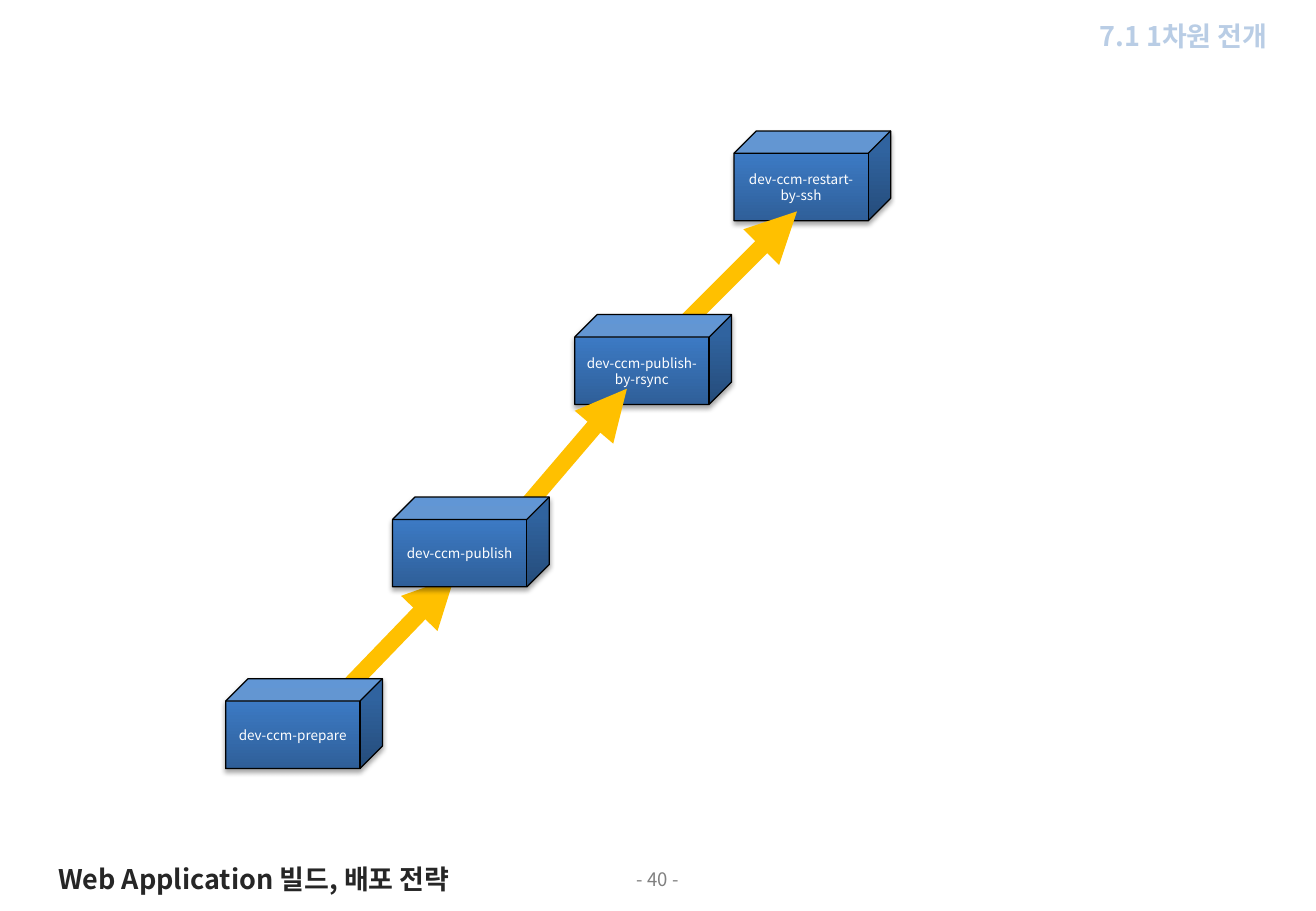
import copy

import pptx
import pptx.dml.color
import pptx.enum.shapes
import pptx.enum.text
import pptx.oxml
import pptx.util

Pt = pptx.util.Pt
RGB = pptx.dml.color.RGBColor
ALIGN = pptx.enum.text.PP_ALIGN
ANCHOR = pptx.enum.text.MSO_ANCHOR

FONT = "Noto Sans CJK KR"
NS = 'xmlns:a="http://schemas.openxmlformats.org/drawingml/2006/main"'
BLACK, WHITE = RGB(0, 0, 0), RGB(0xFF, 0xFF, 0xFF)
DARK, GRAY, PALE = RGB(0x26, 0x26, 0x26), RGB(0x80, 0x80, 0x80), RGB(0xB9, 0xCD, 0xE5)
AMBER = RGB(0xFF, 0xC0, 0x00)
CUBE_STOPS = [
    (0, RGB(0x2F, 0x5F, 0x99)),
    (0.8, RGB(0x3D, 0x7C, 0xC7)),
    (1, RGB(0x3A, 0x7C, 0xCB)),
]
CUBE_W, CUBE_H = 92.9, 53.3

# text, box, format
LABELS = [
    ("- 40 -", (0, 511.2, 779.8, 20.9), dict(size=11, color=GRAY, align=ALIGN.CENTER)),
    ("Web Application 빌드, 배포 전략", (27.4, 507.6, 260.6, 26.6),
     dict(size=16, color=DARK, bold=True, wrap=False)),
    ("7.1 1차원 전개", (635, 7.9, 123.1, 26.6),
     dict(size=16, color=PALE, bold=True, align=ALIGN.RIGHT, wrap=False)),
]
# text, left, top, arrow leaving the step (x1, y1, x2, y2); back to front
STEPS = [
    ("dev-ccm-restart-by-ssh", 434.9, 77.6, None),
    ("dev-ccm-publish-by-rsync", 340.6, 186.5, (390.2, 207.4, 472.3, 125.3)),
    ("dev-ccm-prepare", 133.7, 402.3, (195.1, 419, 269.3, 342)),
    ("dev-ccm-publish", 232.6, 294.6, (303.8, 309.6, 371.5, 230.4)),
]


def write(sp, text, size, color, bold=False, align=ALIGN.LEFT, anchor=ANCHOR.TOP, wrap=True):
    tf = sp.text_frame
    tf.word_wrap = wrap
    tf.vertical_anchor = anchor
    p = tf.paragraphs[0]
    p.alignment = align
    r = p.add_run()
    r.text = text
    r.font.name = FONT
    r.font.size = Pt(size)
    r.font.bold = bold
    r.font.color.rgb = color
    r.font._element.append(pptx.oxml.parse_xml(f'<a:ea {NS} typeface="{FONT}"/>'))


def add_arrow(s, ends):
    line = s.shapes.add_connector(
        pptx.enum.shapes.MSO_CONNECTOR.STRAIGHT, *[Pt(v) for v in ends])
    line.line.color.rgb = AMBER
    line.line.width = Pt(10)
    line.line._get_or_add_ln().append(
        pptx.oxml.parse_xml(f'<a:tailEnd {NS} type="triangle"/>'))
    line._element.spPr.append(pptx.oxml.parse_xml(f'<a:effectLst {NS}/>'))


def add_cube(s, text, left, top):
    sp = s.shapes.add_shape(pptx.enum.shapes.MSO_SHAPE.CUBE,
                            Pt(left), Pt(top), Pt(CUBE_W), Pt(CUBE_H))
    sp.fill.gradient()
    sp.fill.gradient_angle = 90
    gs_list = sp._element.spPr.gradFill.gsLst
    gs_list.append(copy.deepcopy(gs_list[-1]))
    for stop, (position, color) in zip(sp.fill.gradient_stops, CUBE_STOPS):
        stop.position = position
        stop.color.rgb = color
    sp.line.color.rgb = BLACK
    sp.line.width = Pt(0.75)
    sp._element.spPr.append(pptx.oxml.parse_xml(
        f'<a:effectLst {NS}><a:outerShdw blurRad="{Pt(3.1)}" dist="{Pt(1.8)}" dir="5400000"'
        ' rotWithShape="0"><a:srgbClr val="000000"><a:alpha val="35000"/></a:srgbClr>'
        '</a:outerShdw></a:effectLst>'))
    write(sp, text, size=8, color=WHITE, align=ALIGN.CENTER, anchor=ANCHOR.MIDDLE)


def main():
    prs = pptx.Presentation()
    prs.slide_width, prs.slide_height = Pt(779.8), Pt(540)
    s = prs.slides.add_slide(prs.slide_layouts[6])
    for text, left, top, arrow in STEPS:
        if arrow:
            add_arrow(s, arrow)
        add_cube(s, text, left, top)
    for text, box, style in LABELS:
        write(s.shapes.add_textbox(*[Pt(v) for v in box]), text, **style)
    prs.save("out.pptx")


if __name__ == "__main__":
    main()
